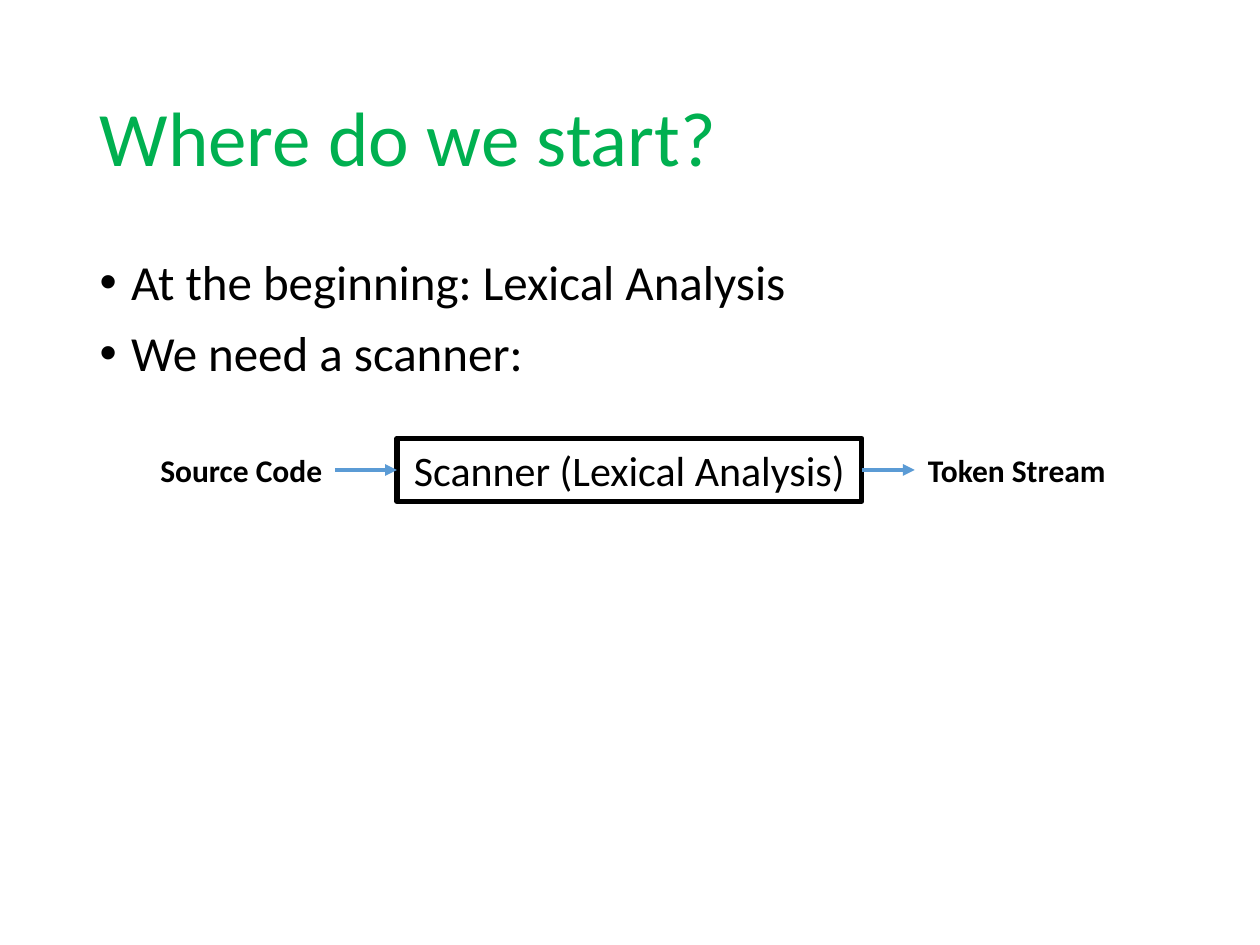
from lxml import etree
from pptx import Presentation
from pptx import util as u
from pptx.dml.color import RGBColor
from pptx.enum import shapes, text
from pptx.oxml.ns import qn

Inches, Pt = u.Inches, u.Pt
GREEN = RGBColor(0x00, 0xB0, 0x50)
BLACK = RGBColor(0x00, 0x00, 0x00)
WHITE = RGBColor(0xFF, 0xFF, 0xFF)
BLUE = RGBColor(0x5B, 0x9B, 0xD5)


def write(para, words, size, color=BLACK, bold=False):
    run = para.add_run()
    run.text = words
    font = run.font
    font.name, font.size, font.bold = "Calibri", Pt(size), bold
    font.color.rgb = color


def place(shape, left, top, width, height):
    shape.left, shape.top = Inches(left), Inches(top)
    shape.width, shape.height = Inches(width), Inches(height)


def add_title(slide, box, words):
    title = slide.shapes.title
    place(title, *box)
    title.text_frame.vertical_anchor = text.MSO_ANCHOR.MIDDLE
    para = title.text_frame.paragraphs[0]
    para.alignment = text.PP_ALIGN.LEFT
    para.line_spacing = 0.9
    write(para, words, 44, GREEN)


def add_list(slide, box, items):
    body = slide.placeholders[1]
    place(body, *box)
    frame = body.text_frame
    for i, item in enumerate(items):
        para = frame.add_paragraph() if i else frame.paragraphs[0]
        para.line_spacing = 0.9
        para.space_before = Pt(10)
        props = para._p.get_or_add_pPr()
        props.set("marL", str(Inches(0.25)))
        props.set("indent", str(Inches(-0.25)))
        etree.SubElement(props, qn("a:buFont")).set("typeface", "Arial")
        etree.SubElement(props, qn("a:buChar")).set("char", "•")
        write(para, item, 28)


def add_node(slide, left, mid, width, height, words, size, framed=False):
    """Add a box centred on the height mid: framed, or a plain bold label."""
    node = slide.shapes.add_shape(
        shapes.MSO_SHAPE.RECTANGLE, Inches(left), Inches(mid - height / 2),
        Inches(width), Inches(height))
    node.shadow.inherit = False
    if framed:
        node.fill.background()
        node.line.color.rgb = BLACK
        node.line.width = Pt(3)
    else:
        node.fill.solid()
        node.fill.fore_color.rgb = WHITE
        node.line.fill.background()
    frame = node.text_frame
    frame.word_wrap = framed
    frame.vertical_anchor = text.MSO_ANCHOR.TOP
    para = frame.paragraphs[0]
    para.alignment = text.PP_ALIGN.CENTER
    write(para, words, size, bold=not framed)


def add_arrow(slide, start, end, mid):
    arrow = slide.shapes.add_connector(
        shapes.MSO_CONNECTOR.STRAIGHT, Inches(start), Inches(mid),
        Inches(end), Inches(mid))
    arrow.line.color.rgb = BLUE
    arrow.line.width = Pt(2.25)
    line = arrow.line._get_or_add_ln()
    etree.SubElement(line, qn("a:tailEnd")).set("type", "triangle")
    etree.SubElement(arrow._element.spPr, qn("a:effectLst"))


def add_flow(slide, left, top, width, height):
    """Draw source code -> scanner -> token stream across the box."""
    mid = top + height / 2
    source, scan, token = 1.49, 3.69, 1.62
    scan_x = left + 1.98
    token_x = left + width - token
    add_node(slide, scan_x, mid, scan, height,
             "Scanner (Lexical Analysis)", 24, framed=True)
    add_node(slide, left, mid, source, 0.4, "Source Code", 18)
    add_node(slide, token_x, mid, token, 0.4, "Token Stream", 18)
    add_arrow(slide, left + source, scan_x, mid)
    add_arrow(slide, scan_x + scan, token_x, mid)


def main():
    deck = Presentation()
    deck.slide_width, deck.slide_height = Inches(10), Inches(7.5)
    slide = deck.slides.add_slide(deck.slide_layouts[1])
    add_title(slide, (0.69, 0.4, 8.62, 1.45), "Where do we start?")
    add_list(slide, (0.69, 2, 8.62, 4.76),
             ["At the beginning: Lexical Analysis", "We need a scanner:"])
    add_flow(slide, 1.17, 3.48, 7.71, 0.5)
    deck.save("out.pptx")


if __name__ == "__main__":
    main()
